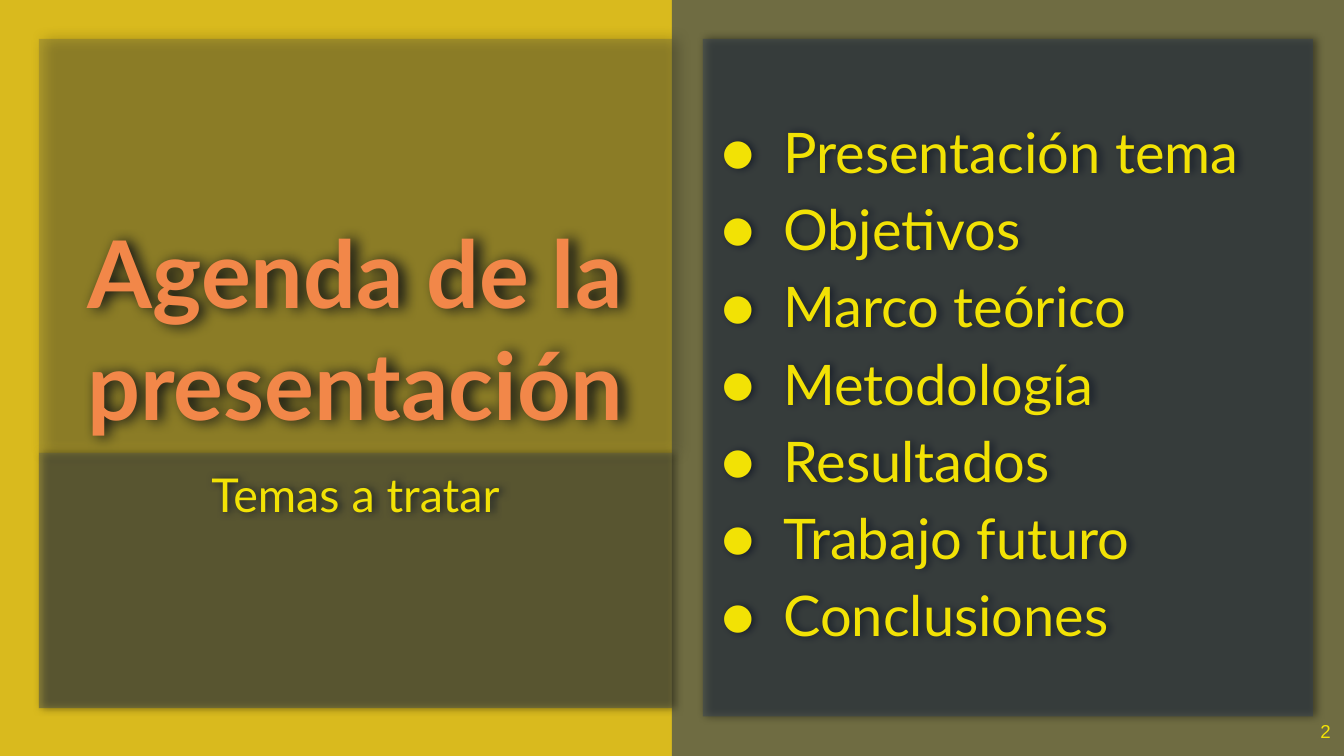
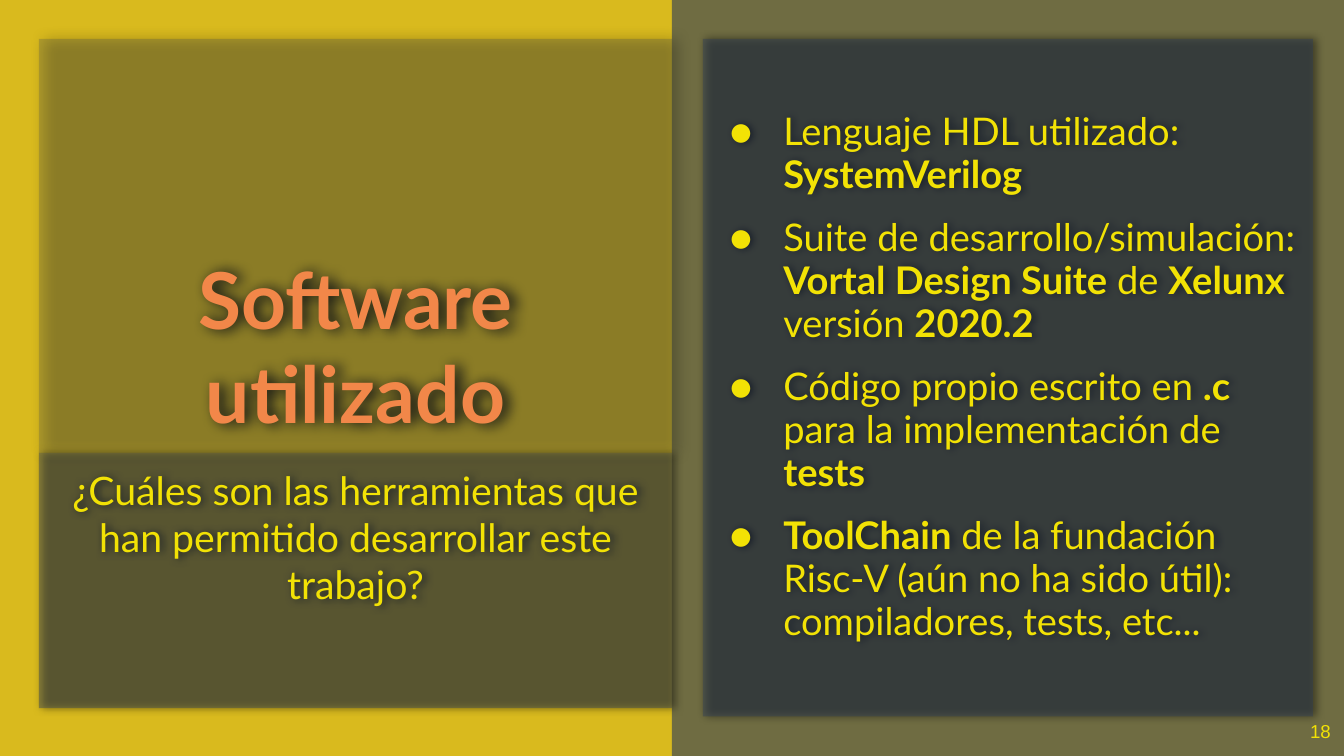
from dataclasses import dataclass

from lxml.etree import SubElement
from pptx import Presentation
from pptx.dml.color import RGBColor
from pptx.enum.shapes import MSO_SHAPE as Shape
from pptx.enum.text import MSO_ANCHOR as Anchor, MSO_AUTO_SIZE as AutoSize, PP_ALIGN as Align
from pptx.oxml.ns import qn
from pptx.util import Inches, Pt

MUSTARD, NAVY, ORANGE, YELLOW, BLACK = "D9BA1E", "2E3D59", "F28749", "F2E205", "000000"
FONT, NUMBER_FONT = "Lato", "Arial"
WIDTH, HEIGHT = 10, 5.625
MARGIN = 0.29
TITLE_HEIGHT = 3.08
TITLE_ONLY = 5


@dataclass(frozen=True)
class Panel:
    left: float
    top: float
    width: float
    height: float
    opacity: int
    anchor: Anchor
    blur: float = 4.5
    distance: float = 1.5


@dataclass(frozen=True)
class Topic:
    """One slide; ** in the items switches bold on and off."""
    title: str
    title_size: float
    subtitle: str
    subtitle_size: float
    items: list[str]
    item_size: float
    hanging: float
    line_spacing: float
    gap: float
    number: int


TITLE = Panel(MARGIN, MARGIN, WIDTH / 2 - MARGIN, TITLE_HEIGHT, 23, Anchor.BOTTOM, 7.9, 3)
SUBTITLE = Panel(MARGIN, MARGIN + TITLE_HEIGHT, WIDTH / 2 - MARGIN, 1.9, 44, Anchor.TOP)
BODY = Panel(5.23, MARGIN, 4.54, 5.04, 44, Anchor.MIDDLE)

TOPICS = [
    Topic("Agenda de la presentación", 50, "Temas a tratar", 25,
          ["Presentación tema", "Objetivos", "Marco teórico", "Metodología",
           "Resultados", "Trabajo futuro", "Conclusiones"],
          30, 0.46, 1.15, 0, 2),
    Topic("Software utilizado", 42,
          "¿Cuáles son las herramientas que han permitido desarrollar este trabajo?", 21,
          ["Lenguaje HDL utilizado: **SystemVerilog",
           "Suite de desarrollo/simulación: **Vortal Design Suite** de **Xelunx **versión **2020.2",
           "Código propio escrito en **.c** para la implementación de **tests",
           "**ToolChain** de la fundación Risc-V (aún no ha sido útil): compiladores, tests, etc..."],
          20.4, 0.4, 0.95, 10, 18),
]


def rgb(color: str) -> RGBColor:
    return RGBColor.from_string(color)


def fill_navy(s, opacity: int) -> None:
    s.fill.solid()
    s.fill.fore_color.rgb = rgb(NAVY)
    color = s._element.spPr.find(qn("a:solidFill")).find(qn("a:srgbClr"))
    SubElement(color, qn("a:alpha"), val=str(opacity * 1000))
    s.line.fill.background()


def add_shadow(s, blur: float, distance: float) -> None:
    s.shadow.inherit = False
    effects = s._element.spPr.find(qn("a:effectLst"))
    shadow = SubElement(effects, qn("a:outerShdw"), blurRad=str(Pt(blur)),
                        dist=str(Pt(distance)), dir="0", algn="bl", rotWithShape="0")
    SubElement(shadow, qn("a:srgbClr"), val=BLACK)


def style_run(r, size: float, color: str = YELLOW, bold: bool = False, font: str = FONT) -> None:
    r.font.name, r.font.size, r.font.bold = font, Pt(size), bold
    r.font.color.rgb = rgb(color)


def prepare_frame(s, anchor: Anchor):
    tf = s.text_frame
    tf.word_wrap = True
    tf.auto_size = AutoSize.NONE
    tf.vertical_anchor = anchor
    tf.margin_left = tf.margin_right = tf.margin_top = tf.margin_bottom = Inches(0.1)
    return tf


def format_panel(s, panel: Panel):
    s.left, s.top = Inches(panel.left), Inches(panel.top)
    s.width, s.height = Inches(panel.width), Inches(panel.height)
    fill_navy(s, panel.opacity)
    add_shadow(s, panel.blur, panel.distance)
    return prepare_frame(s, panel.anchor)


def add_box(slide, left: float, top: float, width: float, height: float):
    return slide.shapes.add_textbox(Inches(left), Inches(top), Inches(width), Inches(height))


def add_panel(slide, panel: Panel):
    s = add_box(slide, panel.left, panel.top, panel.width, panel.height)
    return format_panel(s, panel)


def set_line(tf, text: str, align: Align, size: float, **style) -> None:
    tf.text = text
    p = tf.paragraphs[0]
    p.alignment = align
    style_run(p.runs[0], size, **style)


def add_bullet(p, hanging: float) -> None:
    pPr = p._p.get_or_add_pPr()
    pPr.set("marL", str(Inches(0.5)))
    pPr.set("indent", str(-Inches(hanging)))
    SubElement(SubElement(pPr, qn("a:buClr")), qn("a:srgbClr"), val=YELLOW)
    SubElement(pPr, qn("a:buFont"), typeface=FONT)
    SubElement(pPr, qn("a:buChar"), char="●")


def write_items(tf, topic: Topic) -> None:
    for i, item in enumerate(topic.items):
        p = tf.paragraphs[0] if i == 0 else tf.add_paragraph()
        p.line_spacing = topic.line_spacing
        p.space_before = Pt(topic.gap)
        add_bullet(p, topic.hanging)
        for j, text in enumerate(item.split("**")):
            if text:
                r = p.add_run()
                r.text = text
                style_run(r, topic.item_size, bold=j % 2 == 1)
    p.space_after = Pt(topic.gap)


def add_right_half(slide) -> None:
    s = slide.shapes.add_shape(Shape.RECTANGLE, Inches(WIDTH / 2), 0,
                               Inches(WIDTH / 2), Inches(HEIGHT))
    s.shadow.inherit = False
    fill_navy(s, 62)
    slide.shapes._spTree.insert(2, s._element)  # behind the title


def add_number(slide, number: int) -> None:
    tf = prepare_frame(add_box(slide, 9.29, 5.27, 0.71, 0.36), Anchor.MIDDLE)
    set_line(tf, str(number), Align.RIGHT, 10, font=NUMBER_FONT)
    tf.paragraphs[0].line_spacing = 0.9


def add_topic(prs, topic: Topic) -> None:
    slide = prs.slides.add_slide(prs.slide_layouts[TITLE_ONLY])
    add_right_half(slide)
    title = format_panel(slide.shapes.title, TITLE)
    set_line(title, topic.title, Align.CENTER, topic.title_size, color=ORANGE, bold=True)
    subtitle = add_panel(slide, SUBTITLE)
    set_line(subtitle, topic.subtitle, Align.CENTER, topic.subtitle_size)
    write_items(add_panel(slide, BODY), topic)
    add_number(slide, topic.number)


def main() -> None:
    prs = Presentation()
    prs.slide_width, prs.slide_height = Inches(WIDTH), Inches(HEIGHT)
    background = prs.slide_master.background.fill
    background.solid()
    background.fore_color.rgb = rgb(MUSTARD)
    for topic in TOPICS:
        add_topic(prs, topic)
    prs.save("out.pptx")


if __name__ == "__main__":
    main()
